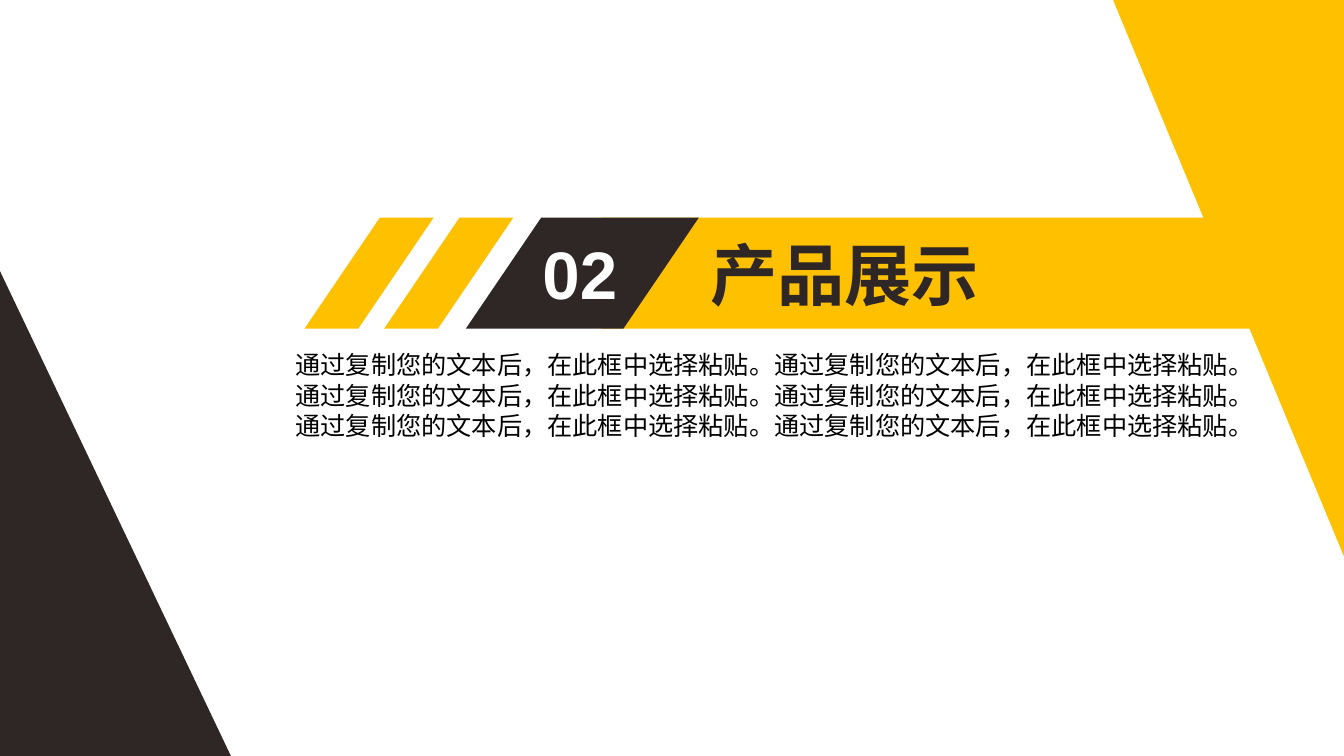
from pptx import Presentation
from pptx import util as u
from pptx.dml.color import RGBColor
from pptx.enum import shapes, text

COLORS = {"dark": "2F2725", "gold": "FFC000", "white": "FFFFFF", "black": "000000"}
FONT = "Arial"
SENTENCE = "通过复制您的文本后，在此框中选择粘贴。"
SLANT = 0.679


def part(box, x, y, w, h):
    left, top, width, height = box
    return (int(left + width * x / 100), int(top + height * y / 100),
            int(width * w / 100), int(height * h / 100))


def add_block(s, kind, box, color):
    sp = s.shapes.add_shape(kind, *box)
    sp.shadow.inherit = False
    sp.fill.solid()
    sp.fill.fore_color.rgb = RGBColor.from_string(COLORS[color])
    sp.line.fill.background()
    return sp


def write(sp, box, lines, size, color, align, bold=False):
    sp.left, sp.top, sp.width, sp.height = box
    tf = sp.text_frame
    tf.word_wrap = True
    tf.auto_size = text.MSO_AUTO_SIZE.NONE
    tf.vertical_anchor = text.MSO_ANCHOR.TOP
    for i, line in enumerate(lines):
        p = tf.add_paragraph() if i else tf.paragraphs[0]
        p.alignment = align
        p.space_before = p.space_after = u.Pt(0)
        p.line_spacing = 1.0
        r = p.add_run()
        r.text = line
        r.font.name = FONT
        r.font.size = u.Pt(size)
        r.font.bold = bold
        r.font.color.rgb = RGBColor.from_string(COLORS[color])


def add_corners(s, box):
    triangle = shapes.MSO_SHAPE.RIGHT_TRIANGLE
    add_block(s, triangle, part(box, 0, 35.87, 17.18, 64.13), "dark")
    sp = add_block(s, triangle, part(box, 82.82, 0, 17.18, 73.6), "gold")
    sp.rotation = 180


def add_banner(s, box, number, heading):
    add_block(s, shapes.MSO_SHAPE.RECTANGLE, part(box, 30.16, 0, 69.84, 100), "gold")
    for x, w, color in ((16.36, 23.62, "dark"), (8.08, 13.09, "gold"), (0, 13.09, "gold")):
        sp = add_block(s, shapes.MSO_SHAPE.PARALLELOGRAM, part(box, x, 0, w, 100), color)
        sp.adjustments[0] = SLANT
    center = text.PP_ALIGN.CENTER
    title = s.shapes.title
    s.shapes.element.append(title.element)
    write(title, part(box, 36.5, 9.09, 36.5, 82.73), [heading], 48, "dark", center, True)
    number_box = part(box, 20.35, 9.09, 15.13, 82.73)
    write(s.shapes.add_textbox(*number_box), number_box, [number], 48, "white", center, True)


def add_description(s, box, lines):
    body = s.placeholders[1]
    s.shapes.element.append(body.element)
    write(body, box, lines, 18, "black", text.PP_ALIGN.LEFT)


def add_section_slide(prs, number, heading, lines):
    s = prs.slides.add_slide(prs.slide_layouts.get_by_name("Section Header"))
    page = (0, 0, prs.slide_width, prs.slide_height)
    add_corners(s, page)
    add_banner(s, part(page, 22.66, 28.8, 73.37, 14.67), number, heading)
    add_description(s, part(page, 21.23, 45.6, 72.62, 12.93), lines)


def main():
    prs = Presentation()
    prs.slide_width, prs.slide_height = u.Inches(13.33), u.Inches(7.5)
    add_section_slide(prs, "02", "产品展示", [SENTENCE * 4, SENTENCE * 2])
    prs.save("out.pptx")


if __name__ == "__main__":
    main()
